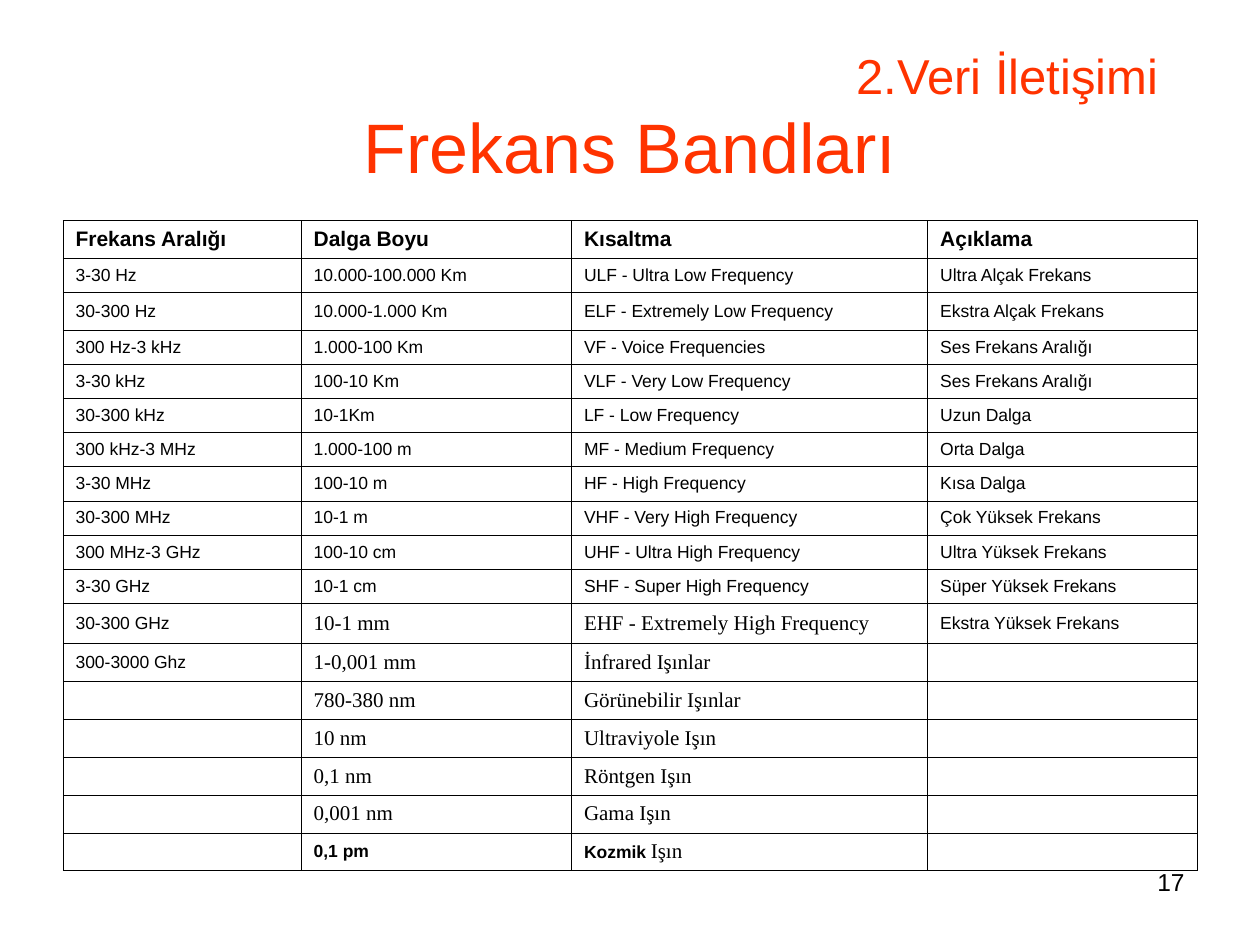
from typing import NamedTuple

from lxml.etree import SubElement as Sub
from pptx import Presentation
from pptx.dml.color import RGBColor as Rgb
from pptx.enum.text import MSO_ANCHOR as Anchor, PP_ALIGN as Align
from pptx.oxml.ns import qn
from pptx.util import Cm, Pt

HUES = {"ink": "000000", "title": "FF3300"}


class Style(NamedTuple):
    size: int
    face: str = "Arial"
    bold: bool = False
    hue: str = "ink"


class Span(NamedTuple):
    text: str
    style: Style


class Line(NamedTuple):
    span: Span
    align: Align


class Box(NamedTuple):
    left: float
    top: float
    width: float
    height: float
    inset: float
    anchor: Anchor
    lines: list[Line]


HEAD = Style(12, bold=True)
BODY = Style(10)
BOLD = Style(10, bold=True)
SERIF = Style(12, "Times New Roman")

BOXES = [
    Box(1.27, 0.76, 22.86, 3.18, 0.78, Anchor.MIDDLE, [
        Line(Span("2.Veri İletişimi", Style(28, hue="title")), Align.RIGHT),
        Line(Span("Frekans Bandları", Style(40, hue="title")), Align.CENTER),
    ]),
    Box(18.21, 17.35, 5.92, 1.32, 0.25, Anchor.TOP, [
        Line(Span("17", Style(14)), Align.RIGHT),
    ]),
]

COLS = [4.8, 5.45, 7.18, 5.43]
TALL, LOW, EHF = 0.76, 0.69, 0.81
HEIGHTS = [TALL, LOW, TALL] + [LOW] * 8 + [EHF] + [TALL] * 6

BANDS = [
    ("Frekans Aralığı", "Dalga Boyu", "Kısaltma", "Açıklama"),
    ("3-30 Hz", "10.000-100.000 Km", "ULF - Ultra Low Frequency", "Ultra Alçak Frekans"),
    ("30-300 Hz", "10.000-1.000 Km", "ELF - Extremely Low Frequency", "Ekstra Alçak Frekans"),
    ("300 Hz-3 kHz", "1.000-100 Km", "VF - Voice Frequencies", "Ses Frekans Aralığı"),
    ("3-30 kHz", "100-10 Km", "VLF - Very Low Frequency", "Ses Frekans Aralığı"),
    ("30-300 kHz", "10-1Km", "LF - Low Frequency", "Uzun Dalga"),
    ("300 kHz-3 MHz", "1.000-100 m", "MF - Medium Frequency", "Orta Dalga"),
    ("3-30 MHz", "100-10 m", "HF - High Frequency", "Kısa Dalga"),
    ("30-300 MHz", "10-1 m", "VHF - Very High Frequency", "Çok Yüksek Frekans"),
    ("300 MHz-3 GHz", "100-10 cm", "UHF - Ultra High Frequency", "Ultra Yüksek Frekans"),
    ("3-30 GHz", "10-1 cm", "SHF - Super High Frequency", "Süper Yüksek Frekans"),
    ("30-300 GHz", "10-1 mm", "EHF - Extremely High Frequency", "Ekstra Yüksek Frekans"),
    ("300-3000 Ghz", "1-0,001 mm", "İnfrared Işınlar", ""),
    ("", "780-380 nm", "Görünebilir Işınlar", ""),
    ("", "10 nm", "Ultraviyole Işın", ""),
    ("", "0,1 nm", "Röntgen Işın", ""),
    ("", "0,001 nm", "Gama Işın", ""),
    ("", "0,1 pm", [Span("Kozmik ", BOLD), Span("Işın", SERIF)], ""),
]
FIRST_SERIF = 11
LAST = len(BANDS) - 1


def look(row: int, col: int) -> Style:
    """Pick the style of a table cell from its place."""
    if row == 0:
        return HEAD
    if row < FIRST_SERIF or col not in (1, 2):
        return BODY
    return BOLD if row == LAST else SERIF


def set_font(font, style: Style) -> None:
    font.size, font.name, font.bold = Pt(style.size), style.face, style.bold
    font.color.rgb = Rgb.from_string(HUES[style.hue])


def write(para, spans: list[Span]) -> None:
    """Fill a paragraph; a lone span sets the font of the whole paragraph."""
    for span in spans:
        run = para.add_run()
        run.text = span.text
        set_font(para.font if len(spans) == 1 else run.font, span.style)


def draw_box(slide, box: Box) -> None:
    shape = slide.shapes.add_textbox(*map(Cm, box[:4]))
    frame = shape.text_frame
    frame.word_wrap = True
    frame.vertical_anchor = box.anchor
    frame.margin_left = frame.margin_right = Cm(box.inset)
    for i, line in enumerate(box.lines):
        para = frame.add_paragraph() if i else frame.paragraphs[0]
        para.alignment = line.align
        write(para, [line.span])


def rule_cell(cell) -> None:
    """Draw thin borders round a cell and clear its fill."""
    props = cell._tc.get_or_add_tcPr()
    for side in ("lnL", "lnR", "lnT", "lnB"):
        edge = Sub(props, qn(f"a:{side}"), w=str(Pt(0.34)))
        Sub(Sub(edge, qn("a:solidFill")), qn("a:srgbClr"), val=HUES["ink"])
    cell.fill.background()


def draw_bands(slide) -> None:
    frame = slide.shapes.add_table(
        len(BANDS), len(COLS), Cm(1.27), Cm(4.44), Cm(sum(COLS)), Cm(sum(HEIGHTS)))
    table = frame.table
    table.first_row = table.horz_banding = False
    for col, width in zip(table.columns, COLS):
        col.width = Cm(width)
    for row, height in zip(table.rows, HEIGHTS):
        row.height = Cm(height)
    for r, band in enumerate(BANDS):
        for c, item in enumerate(band):
            cell = table.cell(r, c)
            cell.vertical_anchor = Anchor.MIDDLE
            rule_cell(cell)
            para = cell.text_frame.paragraphs[0]
            style = look(r, c)
            if item:
                write(para, [Span(item, style)] if isinstance(item, str) else item)
            else:
                # Keeps an empty cell from stretching its row
                Sub(para._p, qn("a:endParaRPr"), sz=str(style.size * 100))


def main() -> None:
    deck = Presentation()
    deck.slide_width, deck.slide_height = Cm(25.4), Cm(19.05)
    slide = deck.slides.add_slide(deck.slide_layouts[6])
    for box in BOXES:
        draw_box(slide, box)
    draw_bands(slide)
    deck.save("out.pptx")


if __name__ == "__main__":
    main()
